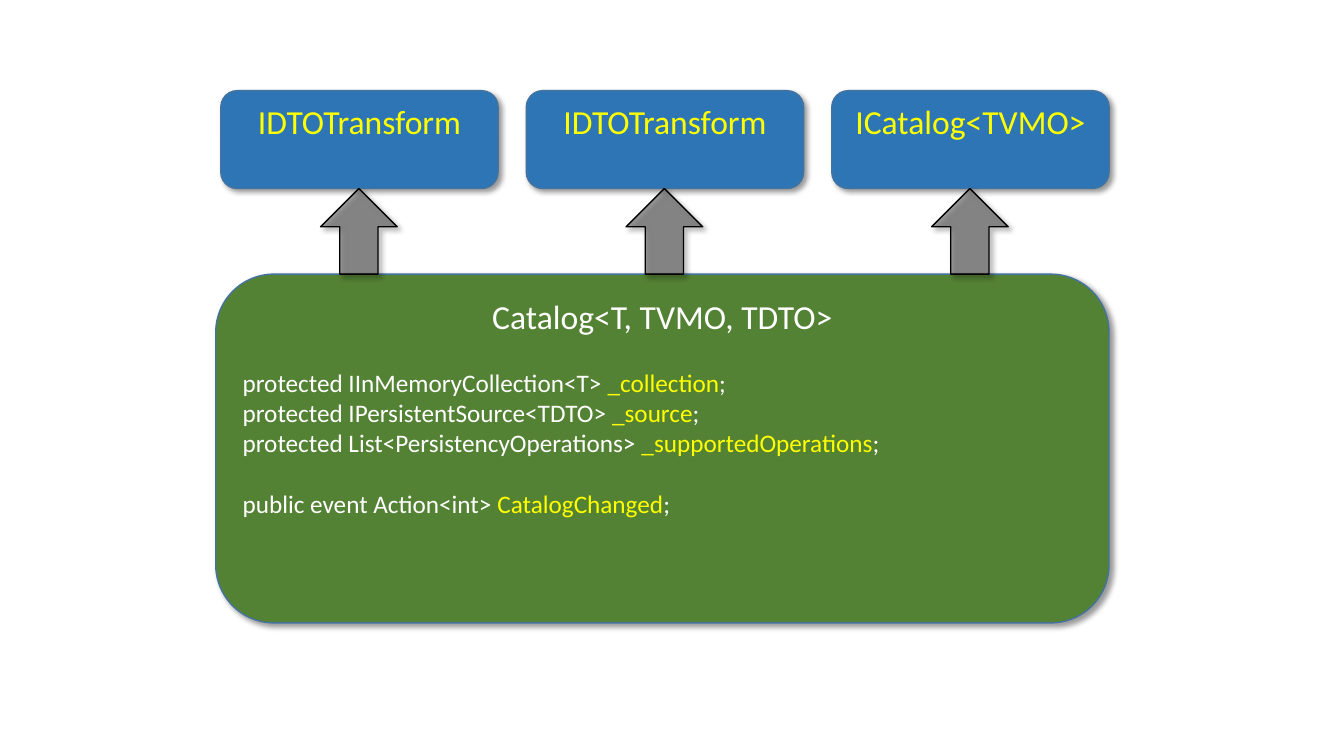
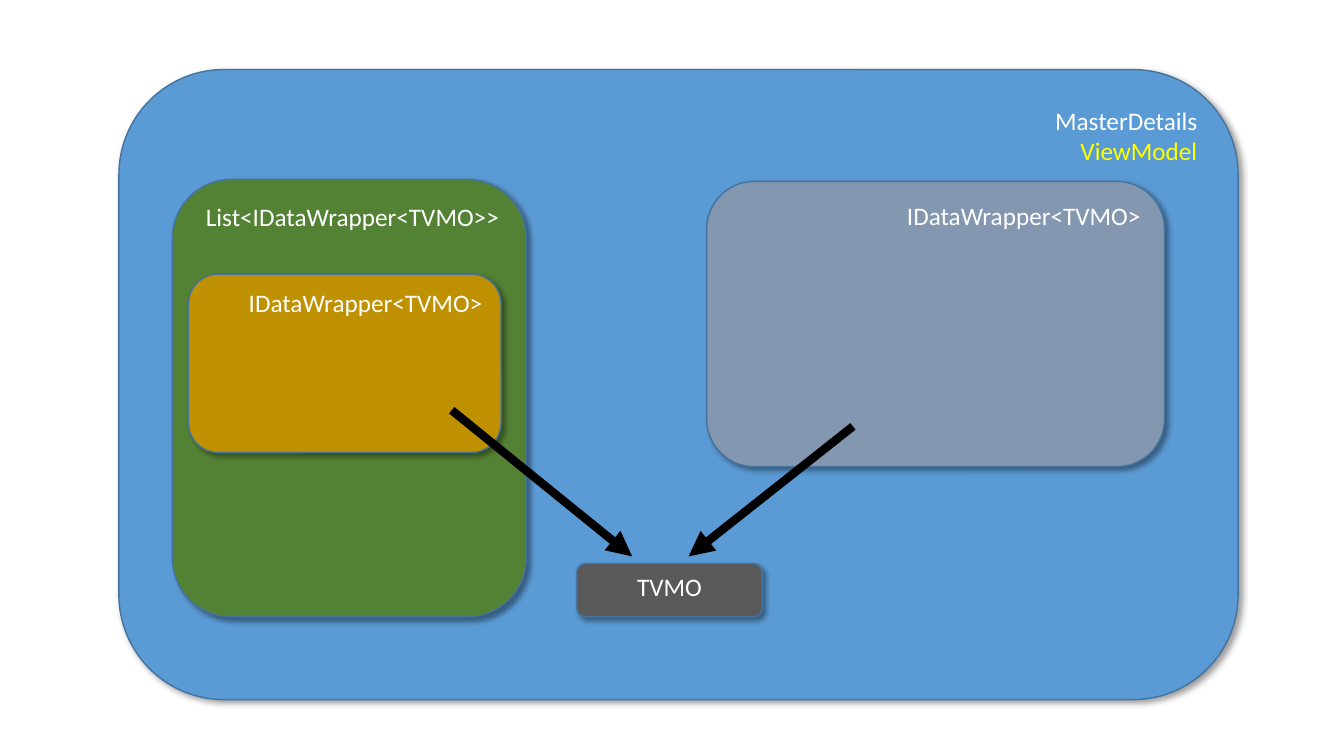
from lxml import etree
from pptx import Presentation
from pptx import util as u
from pptx.dml.color import RGBColor
from pptx.enum import shapes, text
from pptx.oxml import ns, parse_xml

PX = 9144
FONT = "Calibri"
BLACK = RGBColor(0x00, 0x00, 0x00)
WHITE = RGBColor(0xFF, 0xFF, 0xFF)
YELLOW = RGBColor(0xFF, 0xFF, 0x00)
OUTLINE = RGBColor(0x43, 0x73, 0x9E)
DARK_BLUE = RGBColor(0x2E, 0x75, 0xB6)
BLUE = RGBColor(0x5B, 0x9B, 0xD5)
GREEN = RGBColor(0x54, 0x82, 0x35)
GOLD = RGBColor(0xBF, 0x90, 0x00)
SLATE = RGBColor(0x84, 0x97, 0xB0)
GREY = RGBColor(0x59, 0x59, 0x59)

LEFT, CENTER, RIGHT = text.PP_ALIGN.LEFT, text.PP_ALIGN.CENTER, text.PP_ALIGN.RIGHT
ROUNDED = shapes.MSO_SHAPE.ROUNDED_RECTANGLE
UP_ARROW = shapes.MSO_SHAPE.UP_ARROW
SHADOW = (
    f'<a:effectLst {ns.nsdecls("a")}>'
    '<a:outerShdw blurRad="50800" dist="38100" dir="2700000" algn="tl" rotWithShape="0">'
    '<a:srgbClr val="000000"><a:alpha val="40000"/></a:srgbClr>'
    "</a:outerShdw></a:effectLst>"
)


def add_block(slide, kind, box, fill, line=OUTLINE):
    shape = slide.shapes.add_shape(kind, *(value * PX for value in box))
    shape.fill.solid()
    shape.fill.fore_color.rgb = fill
    shape.line.color.rgb = line
    shape.line.width = u.Pt(1)
    shape._element.spPr.append(parse_xml(SHADOW))
    return shape


def write_lines(shape, lines, size, align):
    frame = shape.text_frame
    frame.word_wrap = True
    frame.vertical_anchor = text.MSO_ANCHOR.TOP
    for index, line in enumerate(lines):
        paragraph = frame.paragraphs[0] if index == 0 else frame.add_paragraph()
        layout = {"alignment": align, **line.get("layout", {})}
        for name, value in layout.items():
            setattr(paragraph, name, value)
        for words, color in line["runs"]:
            run = paragraph.add_run()
            run.text = words
            style = {"name": FONT, "size": u.Pt(line.get("size", size))}
            for name, value in style.items():
                setattr(run.font, name, value)
            run.font.color.rgb = color


presentation = Presentation()
presentation.slide_width = u.Inches(13.33)
presentation.slide_height = u.Inches(7.5)
blank = presentation.slide_layouts[6]

slide = presentation.slides.add_slide(blank)
catalog = add_block(slide, ROUNDED, (214, 272, 886, 346), GREEN)
members = [
    ("protected IInMemoryCollection<T> ", "_collection", True),
    ("protected IPersistentSource<TDTO> ", "_source", False),
    ("protected List<PersistencyOperations> ", "_supportedOperations", False),
    ("public event Action<int> ", "CatalogChanged", True),
]
catalog_lines = [
    {"runs": [("Catalog<T, TVMO, TDTO>", WHITE)], "size": 24, "layout": {"alignment": CENTER}}
]
for declaration, member, starts_group in members:
    catalog_lines.append({
        "runs": [(declaration, WHITE), (member, YELLOW), (";", WHITE)],
        "layout": {"space_before": u.Pt(22 if starts_group else 0)},
    })
write_lines(catalog, catalog_lines, 18, LEFT)

box_width, arrow_width = 275, 76
for column, interface in enumerate(["IDTOTransform", "IDTOTransform", "ICatalog<TVMO>"]):
    left = 219 + column * 303
    box = add_block(slide, ROUNDED, (left, 90, box_width, 97), DARK_BLUE)
    write_lines(box, [{"runs": [(interface, YELLOW)]}], 24, CENTER)
    arrow_left = left + (box_width - arrow_width) // 2
    arrow = add_block(slide, UP_ARROW, (arrow_left, 187, arrow_width, 85), GREY, BLACK)
    fill_color = arrow._element.spPr.find(ns.qn("a:solidFill"))[0]
    etree.SubElement(fill_color, ns.qn("a:alpha"), val="60000")

slide = presentation.slides.add_slide(blank)
panels = [
    ((118, 69, 1110, 625), BLUE, RIGHT, [("MasterDetails", WHITE), ("ViewModel", YELLOW)]),
    ((171, 178, 351, 434), GREEN, RIGHT, [("List<IDataWrapper<TVMO>>", WHITE)]),
    ((187, 272, 310, 177), GOLD, RIGHT, [("IDataWrapper<TVMO>", WHITE)]),
    ((701, 180, 454, 283), SLATE, RIGHT, [("IDataWrapper<TVMO>", WHITE)]),
    ((572, 559, 184, 53), GREY, CENTER, [("TVMO", WHITE)]),
]
for box, fill, align, labels in panels:
    panel = add_block(slide, ROUNDED, box, fill)
    write_lines(panel, [{"runs": [label]} for label in labels], 18, align)

for ends in [(448, 407, 627, 552), (846, 423, 683, 552)]:
    connector = slide.shapes.add_connector(
        shapes.MSO_CONNECTOR.STRAIGHT, *(value * PX for value in ends)
    )
    connector.line.color.rgb = BLACK
    connector.line.width = u.Pt(6)
    etree.SubElement(connector.line._get_or_add_ln(), ns.qn("a:tailEnd"), type="triangle")
    etree.SubElement(connector._element.spPr, ns.qn("a:effectLst"))

presentation.save("out.pptx")
